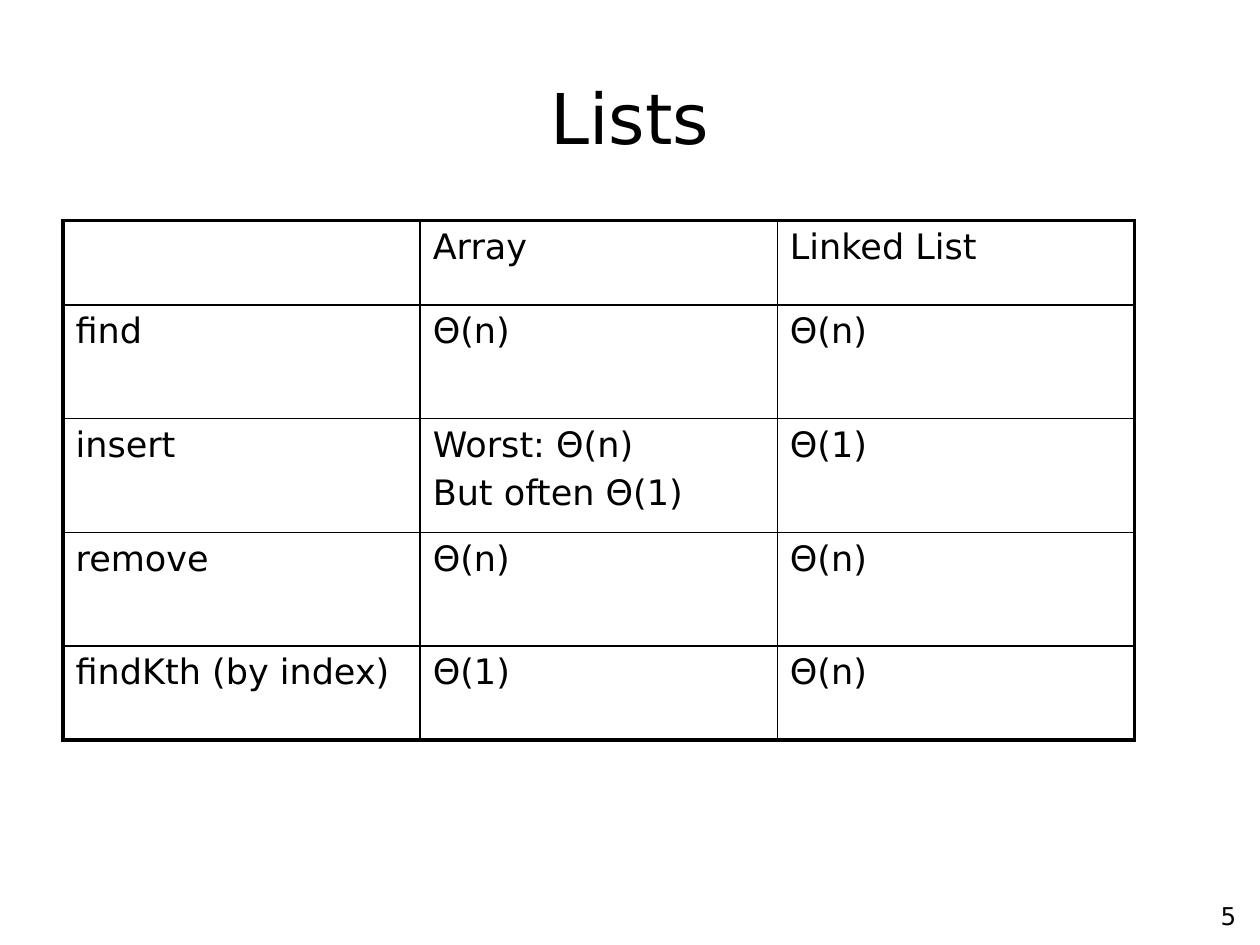
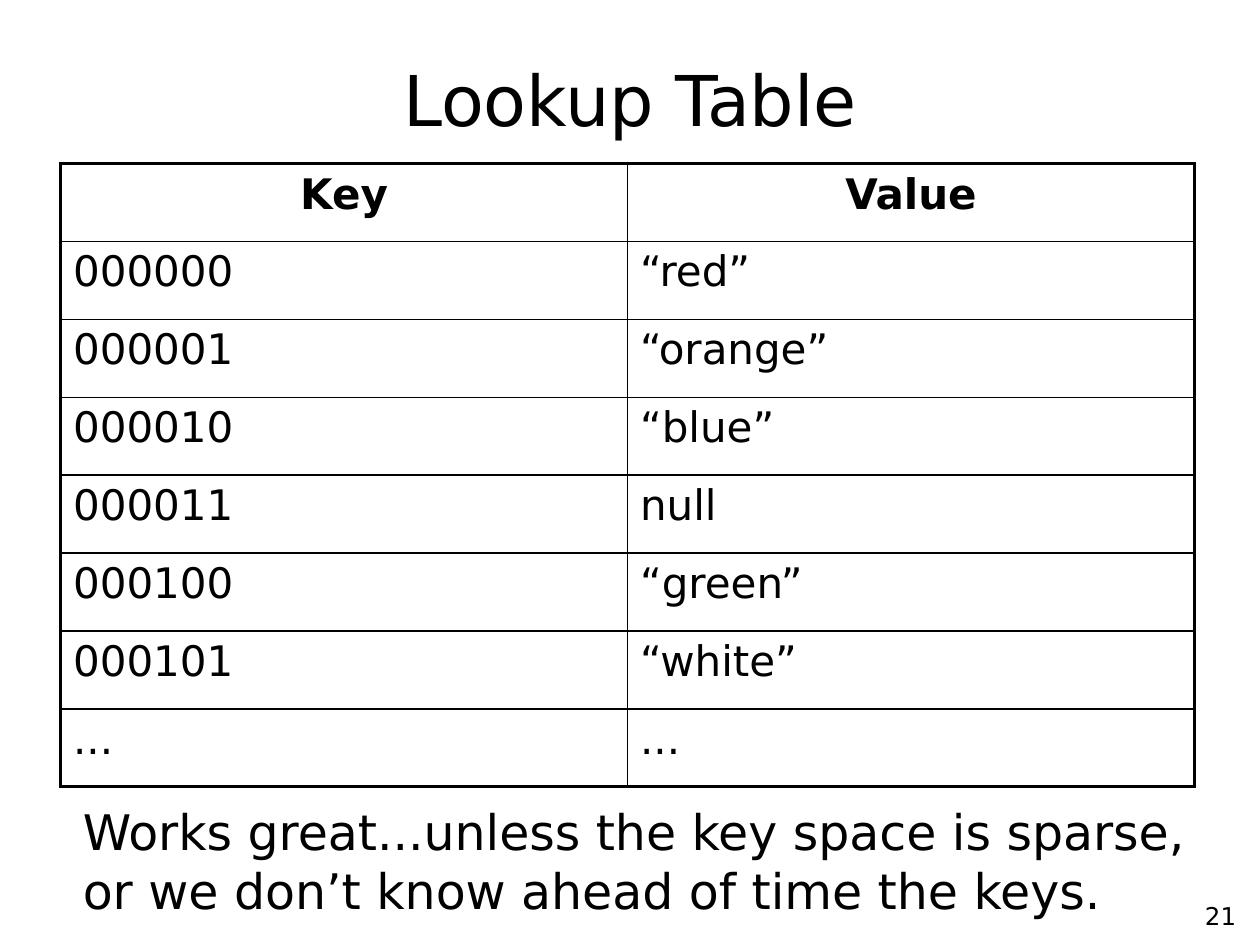
from dataclasses import dataclass

from lxml.etree import SubElement
from pptx import Presentation
from pptx.dml.color import RGBColor
from pptx.enum.text import MSO_ANCHOR as Anchor, PP_ALIGN as Align
from pptx.oxml import parse_xml
from pptx.oxml.ns import nsdecls, qn
from pptx.slide import Slide
from pptx.table import _Cell as Cell
from pptx.text.text import TextFrame
from pptx.util import Cm, Pt


@dataclass(frozen=True)
class Theme:
    font: str = "DejaVu Sans"
    ink: RGBColor = RGBColor(0, 0, 0)
    paper: RGBColor = RGBColor(255, 255, 255)
    title: float = 40
    note: float = 28
    page: float = 14
    thick: float = 2.25
    thin: float = 1


@dataclass(frozen=True)
class Box:
    left: float
    top: float
    width: float
    height: float


@dataclass(frozen=True)
class Grid:
    left: float
    top: float
    cols: list[float]
    rows: list[float]
    size: float
    cells: list[list[str]]
    strong: bool = False


@dataclass(frozen=True)
class Page:
    title: str
    head: Box
    number: str
    grid: Grid


THEME = Theme()
FOOT = Box(19.89, 17.98, 5.28, 0.94)
NOTE = Box(1.42, 16.03, 23.47, 2.62)
LISTS = Page(
    "Lists", Box(1.27, 0.76, 22.86, 3.18), "5",
    Grid(1.27, 4.45, [7.2] * 3, [1.7, 2.29, 2.29, 2.29, 1.9], 20, [
        ["", "Array", "Linked List"],
        ["find", "Θ(n)", "Θ(n)"],
        ["insert", "Worst: Θ(n)\nBut often Θ(1)", "Θ(1)"],
        ["remove", "Θ(n)", "Θ(n)"],
        ["findKth (by index)", "Θ(1)", "Θ(n)"],
    ]))
LOOKUP = Page(
    "Lookup Table", Box(1.91, 0.64, 21.59, 2.69), "21",
    Grid(1.22, 3.3, [11.43] * 2, [1.57] * 8, 24, [
        ["Key", "Value"],
        ["000000", "“red”"],
        ["000001", "“orange”"],
        ["000010", "“blue”"],
        ["000011", "null"],
        ["000100", "“green”"],
        ["000101", "“white”"],
        ["...", "..."],
    ], strong=True))


def style(frame: TextFrame, size: float, align: Align, bold: bool = False) -> None:
    """Format every paragraph and run of a text frame."""
    for i, para in enumerate(frame.paragraphs):
        para.alignment = align
        if i:
            para.space_before = Pt(size * 0.2)
        for run in para.runs:
            font = run.font
            font.name, font.size, font.bold = THEME.font, Pt(size), bold
            font.color.rgb = THEME.ink


def write(slide: Slide, box: Box, text: str, size: float,
          align: Align, anchor: Anchor = Anchor.MIDDLE) -> None:
    """Add one wrapped text box."""
    shape = slide.shapes.add_textbox(
        Cm(box.left), Cm(box.top), Cm(box.width), Cm(box.height))
    frame = shape.text_frame
    frame.word_wrap = True
    frame.vertical_anchor = anchor
    frame.text = text
    style(frame, size, align)


def edge(cell: Cell, outer: dict[str, bool]) -> None:
    """Rule the four sides of a cell, thick on the table's outside."""
    props = cell._tc.get_or_add_tcPr()
    for i, (side, out) in enumerate(outer.items()):
        width = Pt(THEME.thick if out else THEME.thin)
        line = parse_xml(f'<a:ln{side} {nsdecls("a")} w="{width}"/>')
        fill = SubElement(line, qn("a:solidFill"))
        SubElement(fill, qn("a:srgbClr"), val=str(THEME.ink))
        props.insert(i, line)


def draw_grid(slide: Slide, grid: Grid) -> None:
    """Add a ruled table with unfilled cells."""
    rows, cols = len(grid.rows), len(grid.cols)
    table = slide.shapes.add_table(
        rows, cols, Cm(grid.left), Cm(grid.top),
        Cm(sum(grid.cols)), Cm(sum(grid.rows))).table
    table.first_row = table.horz_banding = False
    for col, width in zip(table.columns, grid.cols):
        col.width = Cm(width)
    for r, (row, height) in enumerate(zip(table.rows, grid.rows)):
        row.height = Cm(height)
        bold = grid.strong and r == 0
        for c, cell in enumerate(row.cells):
            cell.text_frame.text = grid.cells[r][c]
            style(cell.text_frame, grid.size,
                  Align.CENTER if bold else Align.JUSTIFY, bold)
            cell.fill.background()
            edge(cell, {"L": c == 0, "R": c == cols - 1,
                        "T": r == 0, "B": r == rows - 1})


def draw_page(deck: Presentation, page: Page) -> Slide:
    """Add a slide with its number, title and table."""
    slide = deck.slides.add_slide(deck.slide_layouts[6])
    fill = slide.background.fill
    fill.solid()
    fill.fore_color.rgb = THEME.paper
    write(slide, FOOT, page.number, THEME.page, Align.RIGHT)
    write(slide, page.head, page.title, THEME.title, Align.CENTER)
    draw_grid(slide, page.grid)
    return slide


def main() -> None:
    """Build and save the deck."""
    deck = Presentation()
    deck.slide_width, deck.slide_height = Cm(25.4), Cm(19.05)
    draw_page(deck, LISTS)
    slide = draw_page(deck, LOOKUP)
    write(slide, NOTE, "Works great...unless the key space is sparse,\v"
          "or we don’t know ahead of time the keys.",
          THEME.note, Align.LEFT)
    deck.save("out.pptx")


if __name__ == "__main__":
    main()
